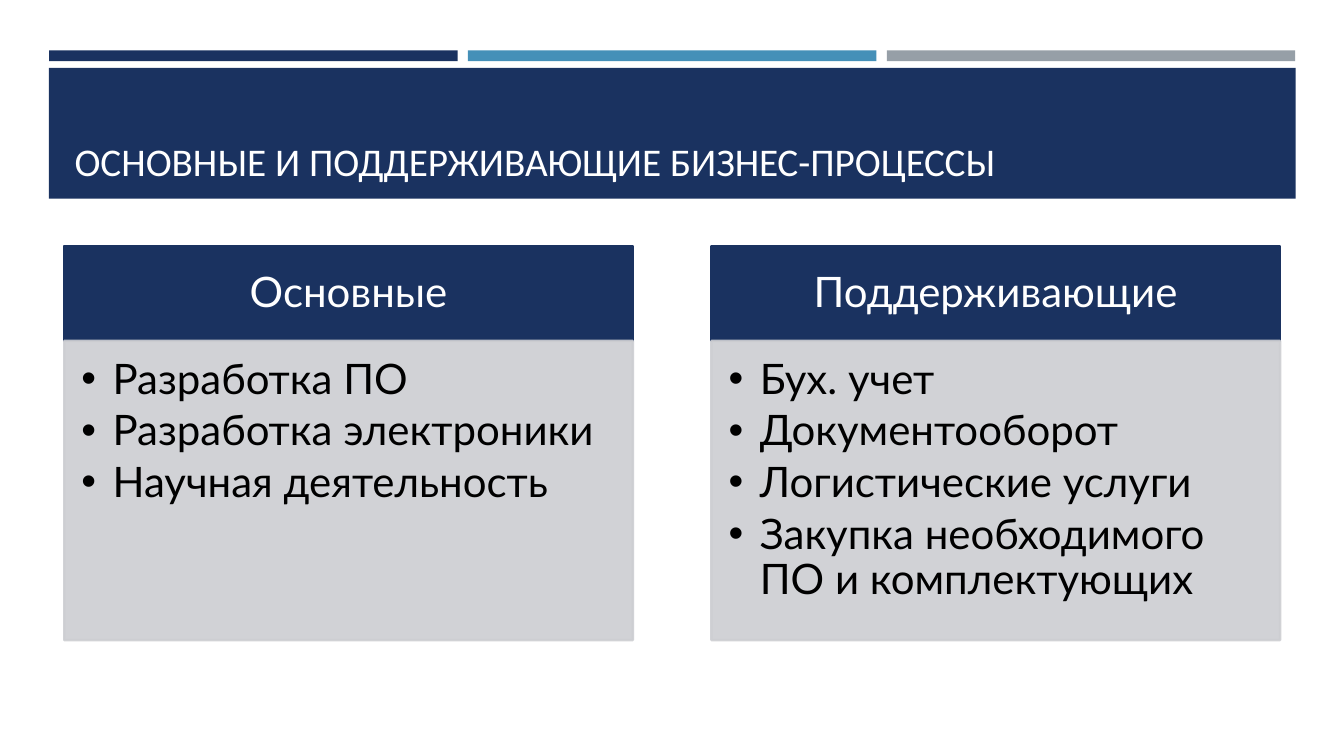
from lxml import etree
from pptx import Presentation
from pptx.dml.color import RGBColor
from pptx.enum.shapes import MSO_SHAPE
from pptx.enum.text import MSO_ANCHOR, PP_ALIGN
from pptx.oxml.ns import qn
from pptx.util import Cm, Pt

RECT = MSO_SHAPE.RECTANGLE
TOP, MIDDLE, BOTTOM = MSO_ANCHOR.TOP, MSO_ANCHOR.MIDDLE, MSO_ANCHOR.BOTTOM
LEFT, CENTER = PP_ALIGN.LEFT, PP_ALIGN.CENTER

COLORS = {
    "navy": "1A3260",
    "blue": "4590B8",
    "steel": "969FA7",
    "panel": "CDCED2",
    "white": "FFFFFF",
    "black": "000000",
}
CARDS = [
    ("Основные", ["Разработка ПО", "Разработка электроники", "Научная деятельность"]),
    ("Поддерживающие", ["Бух. учет", "Документооборот", "Логистические услуги",
                        "Закупка необходимого ПО и комплектующих"]),
]


def rgb(name):
    return RGBColor.from_string(COLORS[name])


def add_rect(slide, box, color, outlined=False):
    """Add a flat rectangle; box is left, top, width, height in cm."""
    sp = slide.shapes.add_shape(RECT, *map(Cm, box))
    sp.shadow.inherit = False
    sp.fill.solid()
    sp.fill.fore_color.rgb = rgb(color)
    if outlined:
        sp.line.color.rgb = rgb(color)
        sp.line.width = Pt(1.75)
    else:
        sp.line.fill.background()
    return sp


def set_frame(sp, anchor, insets):
    """Set anchor and left, top, right, bottom insets in cm."""
    tf = sp.text_frame
    tf.word_wrap = True
    tf.vertical_anchor = anchor
    tf.margin_left, tf.margin_top, tf.margin_right, tf.margin_bottom = map(Cm, insets)
    return tf


def add_run(p, text, font, size, color):
    r = p.add_run()
    r.text = text
    r.font.name = font
    r.font.size = Pt(size)
    r.font.color.rgb = rgb(color)


def set_bullet(p, indent):
    pPr = p._p.get_or_add_pPr()
    pPr.set("marL", str(Cm(indent)))
    pPr.set("indent", str(-Cm(indent)))
    etree.SubElement(pPr, qn("a:buFont")).set("typeface", "Arial")
    etree.SubElement(pPr, qn("a:buChar")).set("char", "•")


def set_opacity(sp, percent):
    """Apply one opacity to both fill and line."""
    for clr in sp._element.spPr.iter(qn("a:srgbClr")):
        etree.SubElement(clr, qn("a:alpha")).set("val", str(percent * 1000))


def add_stripes(slide, left, top, width, height, gap=0.26):
    names = ("navy", "blue", "steel")
    stripe = (width - gap * (len(names) - 1)) / len(names)
    for i, name in enumerate(names):
        add_rect(slide, (left + i * (stripe + gap), top, stripe, height), name)


def add_title(slide, left, top, width, height, text):
    add_rect(slide, (left, top, width, height), "navy")
    box = (left + 0.4, top + 0.25, width - 0.8, height - 0.48)
    sp = slide.shapes.add_textbox(*map(Cm, box))
    tf = set_frame(sp, BOTTOM, (0.25, 0.13, 0.25, 0.13))
    add_run(tf.paragraphs[0], text, "Calibri", 28, "white")


def add_card(slide, left, top, width, height, heading, items, head_height=2.39):
    head = add_rect(slide, (left, top, width, head_height), "navy", outlined=True)
    p = set_frame(head, MIDDLE, (0.58, 0.33, 0.58, 0.33)).paragraphs[0]
    p.alignment = CENTER
    p.line_spacing = 0.9
    add_run(p, heading, "Lato", 30, "white")

    body_box = (left, top + head_height, width, height - head_height)
    body = add_rect(slide, body_box, "panel", outlined=True)
    set_opacity(body, 90)
    tf = set_frame(body, TOP, (0.43, 0.43, 0.58, 0.66))
    for i, item in enumerate(items):
        p = tf.add_paragraph() if i else tf.paragraphs[0]
        p.alignment = LEFT
        p.level = 1
        p.line_spacing = 0.9
        p.space_after = Pt(4.5)
        set_bullet(p, 0.79)
        add_run(p, item, "Lato", 30, "black")


def add_cards(slide, left, top, width, height, gap=1.98):
    card = (width - gap * (len(CARDS) - 1)) / len(CARDS)
    for i, (heading, items) in enumerate(CARDS):
        add_card(slide, left + i * (card + gap), top, card, height, heading, items)


def main():
    prs = Presentation()
    prs.slide_width, prs.slide_height = Cm(33.87), Cm(19.05)
    slide = prs.slides.add_slide(prs.slide_layouts[6])
    add_stripes(slide, 1.24, 1.27, 31.4, 0.27)
    add_title(slide, 1.23, 1.71, 31.42, 3.3, "ОСНОВНЫЕ И ПОДДЕРЖИВАЮЩИЕ БИЗНЕС-ПРОЦЕССЫ")
    add_cards(slide, 1.62, 6.2, 30.64, 9.93)
    prs.save("out.pptx")


if __name__ == "__main__":
    main()
